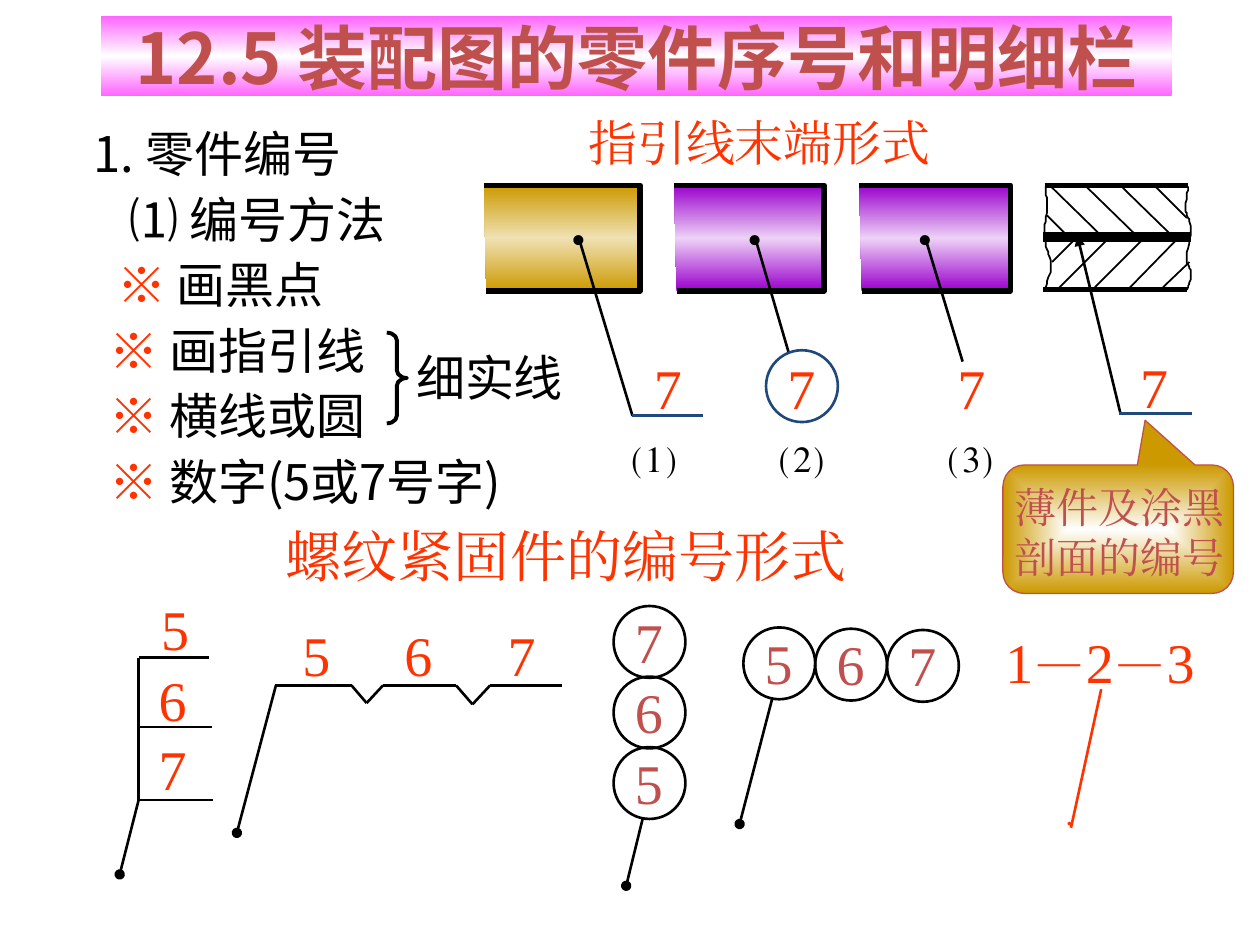
from dataclasses import dataclass
from itertools import pairwise

from pptx import Presentation
from pptx import util as u
from pptx.dml.color import RGBColor
from pptx.enum import shapes, text
from pptx.oxml.ns import qn
from pptx.oxml.xmlchemy import OxmlElement

PX = 9144


@dataclass(frozen=True)
class Theme:
    sans: str = "Noto Sans CJK SC"
    serif: str = "Times New Roman"
    ink: str = "000000"
    accent: str = "FF3300"
    brick: str = "C0504D"
    navy: str = "1F497D"
    pink: tuple = ("FF66FF", "FFFFFF", "FF66FF")
    gold: tuple = ("CC9900", "F0E1B4", "CC9900")
    purple: tuple = ("9900CC", "EDD2F6", "9900CC")
    glow: tuple = ("FFFFFF", "CC9900")
    title: int = 40
    digit: int = 32
    body: int = 28
    note: int = 24
    tiny: int = 5


T = Theme()


def px(*values):
    return [u.Emu(v * PX) for v in values]


def node(parent, tag, **attrs):
    el = OxmlElement(tag)
    for key, value in attrs.items():
        el.set(key, str(value))
    parent.append(el)
    return el


def gradient(sp, colors, radial=False):
    sp.fill.gradient()
    grad = sp._element.spPr.find(qn("a:gradFill"))
    grad.clear()
    stops = node(grad, "a:gsLst")
    for i, color in enumerate(colors):
        stop = node(stops, "a:gs", pos=100000 * i // (len(colors) - 1))
        node(stop, "a:srgbClr", val=color)
    if radial:
        shade = node(grad, "a:path", path="rect")
        node(shade, "a:fillToRect", l=50000, t=50000, r=50000, b=50000)
    else:
        node(grad, "a:lin", ang=5400000, scaled=0)


def stroke(sp, color, width):
    sp.line.color.rgb = RGBColor.from_string(color)
    sp.line.width = u.Pt(width)


def style(r, size, color, font, bold=False):
    r.font.size, r.font.name, r.font.bold = u.Pt(size), font, bold
    r.font.color.rgb = RGBColor.from_string(color)
    node(r._r.get_or_add_rPr(), "a:ea", typeface=font)


def label(group, box, parts, size, color=T.accent, font=T.serif,
          center=True, middle=True, wrap=False):
    tf = group.add_textbox(*px(*box)).text_frame
    tf.word_wrap = wrap
    tf.auto_size = text.MSO_AUTO_SIZE.SHAPE_TO_FIT_TEXT
    tf.vertical_anchor = text.MSO_ANCHOR.MIDDLE if middle else text.MSO_ANCHOR.TOP
    p = tf.paragraphs[0]
    p.alignment = text.PP_ALIGN.CENTER if center else text.PP_ALIGN.LEFT
    for part, tint in [(parts, color)] if isinstance(parts, str) else parts:
        r = p.add_run()
        r.text = part
        style(r, size, tint, font)


def digit(group, x, y, value, color=T.accent):
    label(group, (x, y, 42, 63), value, T.digit, color)


def line(group, x1, y1, x2, y2, color=T.ink, width=1.5, head=None, tail=None):
    sp = group.add_connector(shapes.MSO_CONNECTOR.STRAIGHT, *px(x1, y1, x2, y2))
    stroke(sp, color, width)
    for tag, kind in (("a:headEnd", head), ("a:tailEnd", tail)):
        if kind:
            node(sp.line._get_or_add_ln(), tag, type=kind)
    node(sp._element.spPr, "a:effectLst")


def preset(group, kind, box, color, width, adjust=()):
    sp = group.add_shape(kind, *px(*box))
    sp.shadow.inherit = False
    sp.fill.background()
    stroke(sp, color, width)
    for i, value in enumerate(adjust):
        sp.adjustments[i] = value
    return sp


def outline(group, points, width):
    pen = group.build_freeform(*points[0], scale=PX)
    pen.add_line_segments(points[1:], close=False)
    sp = pen.convert_to_shape()
    sp.shadow.inherit = False
    sp.fill.background()
    stroke(sp, T.ink, width)
    return sp


def bezier(points, steps=8):
    path = [points[0]]
    for i in range(0, len(points) - 1, 3):
        a, b, c, d = points[i:i + 4]
        for n in range(1, steps + 1):
            t = n / steps
            s = 1 - t
            path.append(tuple(s**3 * e + 3 * s * s * t * f + 3 * s * t * t * g + t**3 * h
                              for e, f, g, h in zip(a, b, c, d)))
    return path


def title(slide, box):
    sp = slide.shapes.title
    sp.left, sp.top, sp.width, sp.height = px(*box)
    gradient(sp, T.pink)
    tf = sp.text_frame
    tf.text = "12.5 装配图的零件序号和明细栏"
    tf.auto_size = text.MSO_AUTO_SIZE.NONE
    tf.vertical_anchor = text.MSO_ANCHOR.MIDDLE
    p = tf.paragraphs[0]
    p.alignment = text.PP_ALIGN.CENTER
    style(p.runs[0], T.title, T.brick, T.sans, True)


def method_list(slide, box):
    x, y = box[:2]
    group = slide.shapes
    for dx, dy, w, words in ((0, 0, 235, "1. 零件编号"), (32, 52, 235, "⑴ 编号方法"),
                             (265, 178, 137, "细实线")):
        label(group, (x + dx, y + dy, w, 57), words, T.body, T.ink, T.sans)
    items = (("画黑点", 196, True, False), ("画指引线", 235, False, False),
             ("横线或圆", 284, False, True), ("数字(5或7号字)", 381, False, True))
    for i, (words, w, center, wrap) in enumerate(items):
        label(group, (x + 22, y + 104 + 52 * i, w, 57), [("※ ", T.accent), (words, T.ink)],
              T.body, font=T.sans, center=center, wrap=wrap)
    preset(group, shapes.MSO_SHAPE.RIGHT_BRACE, (x + 252, y + 171, 16, 72), T.ink, 2.25, (0.38, 0.5))


def leader_form(slide, box, metal, dot, tip, value, caption, mark):
    x, y, w, h = box
    group = slide.shapes
    plate = outline(group, [(x, y), (x + w, y), (x + w, y + h), (x + 2, y + h)], 3)
    gradient(plate, metal)
    label(group, (x + dot, y + 17, 32, 50), "•", T.note, T.ink)
    line(group, x + dot + 17, y + 44, x + tip[0], y + tip[1])
    if mark == "shelf":
        line(group, x + tip[0], y + tip[1], x + tip[0] + 56, y + tip[1], T.navy)
    elif mark == "circle":
        preset(group, shapes.MSO_SHAPE.OVAL, (x + value - 7, y + 131, 57, 57), T.navy, 1.5)
    digit(group, x + value, y + 129, "7")
    label(group, (x + value - caption[0], y + 184, 59, 57), caption[1], T.body, T.ink,
          center=False, middle=False)


def thin_section(slide, box):
    x, y, w, h = box
    group = slide.shapes.add_group_shape().shapes
    mid = y + 41
    for dx, ly, length, width in ((0, mid, w - 1, 6), (0, y + h - 1, 114, 3), (1, y, 114, 3)):
        line(group, x + dx, ly, x + dx + length, ly, width=width)
    edges = (
        ((1, 83), (3, 77), (6, 70), (6, 64), (6, 58), (3, 52), (2, 47), (1, 42), (1, 40),
         (1, 35), (1, 30), (3, 24), (3, 18), (3, 12), (2, 3), (2, 0)),
        ((114, 83), (116, 79), (117, 74), (117, 70), (117, 66), (114, 64), (114, 58), (114, 52),
         (117, 41), (117, 34), (117, 27), (113, 24), (113, 19), (113, 13), (115, 4), (115, 1)),
    )
    for edge in edges:
        outline(group, bezier([(x + a, y + b) for a, b in edge]), 1)
    hatch = ((3, 24, 20, 41), (5, 0, 48, 42), (34, 1, 75, 41), (61, 0, 102, 40), (88, 0, 114, 26),
             (7, 61, 27, 41), (12, 82, 54, 40), (41, 81, 81, 41), (68, 82, 108, 41), (95, 81, 116, 61))
    for a, b, c, d in hatch:
        line(group, x + a, y + b, x + c, y + d, width=1)
    group = slide.shapes.add_group_shape().shapes
    line(group, x + 27, y + 40, x + 61, y + 180, head="triangle")
    line(group, x + 60, y + 181, x + 118, y + 181, T.navy)
    digit(group, x + 67, y + 128, "7")


def callout(slide, box):
    x, y, w, h = box
    group = slide.shapes.add_group_shape().shapes
    sp = preset(group, shapes.MSO_SHAPE.ROUNDED_RECTANGULAR_CALLOUT, box, T.brick, 0.75,
                (0.117, -0.848, 0.167))
    gradient(sp, T.glow, radial=True)
    label(group, (x - 1, y + 8, w + 6, 90), "薄件及涂黑剖面的编号", T.note, T.brick,
          center=False, middle=False, wrap=True)


def ladder(slide, box):
    x, y, w, h = box
    group = slide.shapes.add_group_shape().shapes
    for value, dx, dy, rung, width in (("5", 8, -55, 0, 56), ("6", 6, 1, 55, 58), ("7", 6, 56, 113, 59)):
        digit(group, x + dx, y + dy, value)
        line(group, x, y + rung, x + width, y + rung)
    line(group, x, y, x, y + 114)
    line(group, x, y + 113, x - 15, y + h, tail="oval")


def zigzag(slide, box):
    x, y, w, h = box
    group = slide.shapes.add_group_shape().shapes
    points = ((0, 0), (61, 0), (73, 14), (86, 0), (144, 0), (157, 15), (171, 0), (w, 0))
    for (a, b), (c, d) in pairwise(points):
        line(group, x + a, y + b, x + c, y + d)
    for value, dx in zip("567", (12, 93, 175)):
        digit(group, x + dx, y - 56, value)
    line(group, x + 1, y, x - 30, y + h, tail="oval")


def balloons(slide, box, values, step, leader):
    x, y, w, h = box
    group = slide.shapes.add_group_shape().shapes
    for i, value in enumerate(values):
        cx, cy = x + step[0] * i, y + step[1] * i
        preset(group, shapes.MSO_SHAPE.OVAL, (cx, cy, w, h), T.ink, 1.5)
        digit(group, cx + 7, cy - 4, value, T.brick)
    a, b, c, d = leader
    line(group, x + a, y + b, x + c, y + d, tail="oval")


def dashed_numbers(slide, box):
    x, y, w, h = box
    group = slide.shapes.add_group_shape().shapes
    marks = [(64 * i, 0, 42, 63, v, T.digit) for i, v in enumerate("123")]
    marks += [(26 + 64 * i, 5, 53, 50, "—", T.note) for i in range(2)]
    marks.append((49, 151, 27, 18, "●", T.tiny))
    for dx, dy, mw, mh, words, size in marks:
        label(group, (x + dx, y + dy, mw, mh), words, size, center=False, middle=False)
    line(group, x + 86, y + 54, x + 62, y + h, T.accent)


def main():
    prs = Presentation()
    prs.slide_width, prs.slide_height = px(1000, 750)
    slide = prs.slides.add_slide(prs.slide_layouts[0])
    subtitle = slide.placeholders[1]._element
    subtitle.getparent().remove(subtitle)
    title(slide, (80, 13, 850, 63))
    method_list(slide, (55, 93, 403, 316))
    label(slide.shapes, (457, 84, 294, 57), "指引线末端形式", T.body, center=False, middle=False)
    leader_form(slide, (384, 147, 124, 84), T.gold, 59, (118, 183), 125, (17, "⑴"), "shelf")
    leader_form(slide, (535, 147, 119, 84), T.purple, 48, (91, 133), 80, (6, "⑵"), "circle")
    leader_form(slide, (682, 147, 120, 84), T.purple, 36, (82, 140), 68, (7, "⑶"), None)
    thin_section(slide, (828, 147, 118, 84))
    callout(slide, (796, 369, 183, 102))
    label(slide.shapes, (186, 409, 527, 63), "螺纹紧固件的编号形式", T.digit, wrap=True)
    ladder(slide, (110, 522, 59, 172))
    zigzag(slide, (218, 544, 228, 117))
    balloons(slide, (487, 481, 57, 57), "765", (0, 56), (23, 169, 10, 222))
    balloons(slide, (590, 498, 57, 57), "567", (57, 1), (23, 56, -3, 156))
    dashed_numbers(slide, (788, 493, 169, 164))
    prs.save("out.pptx")


if __name__ == "__main__":
    main()
